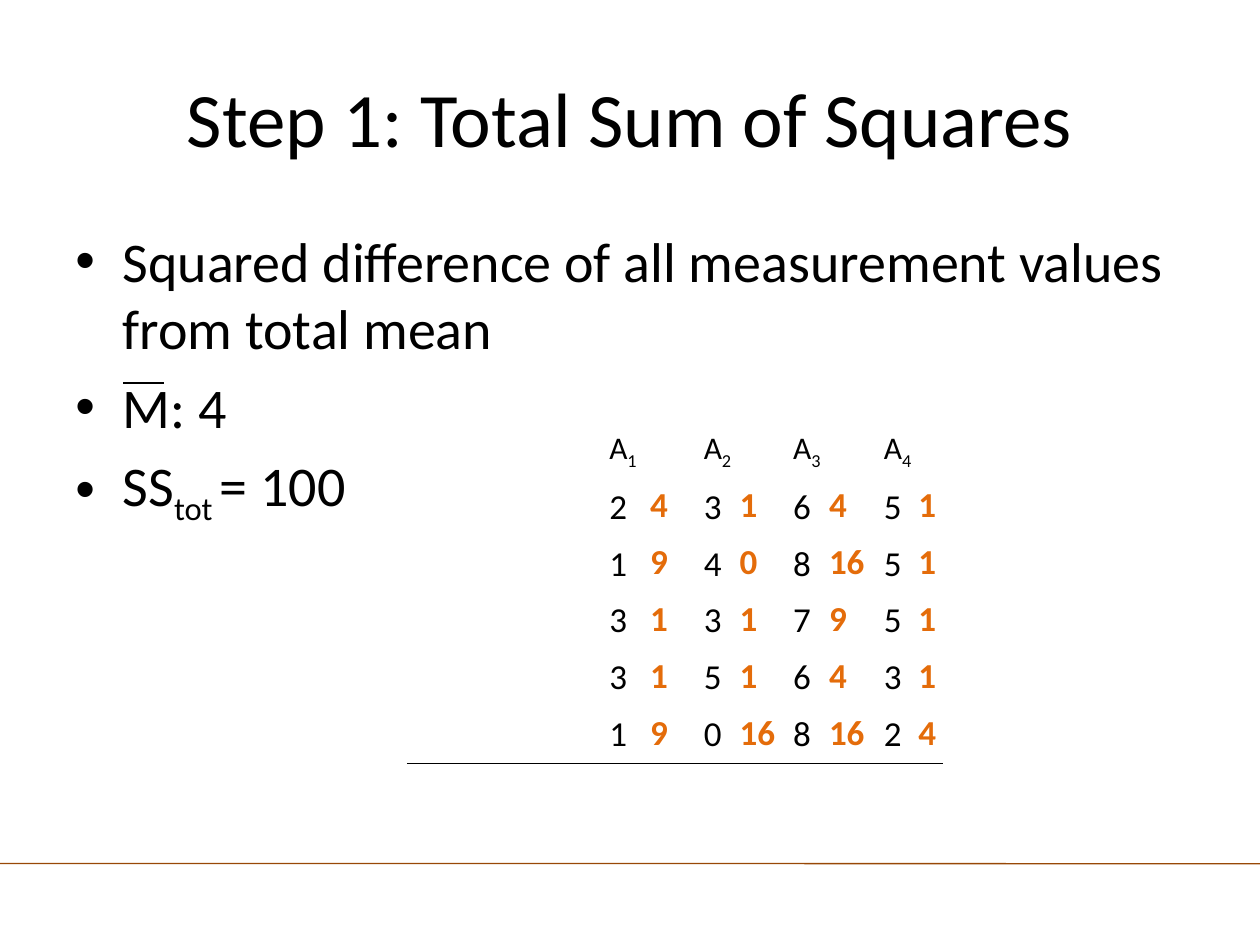
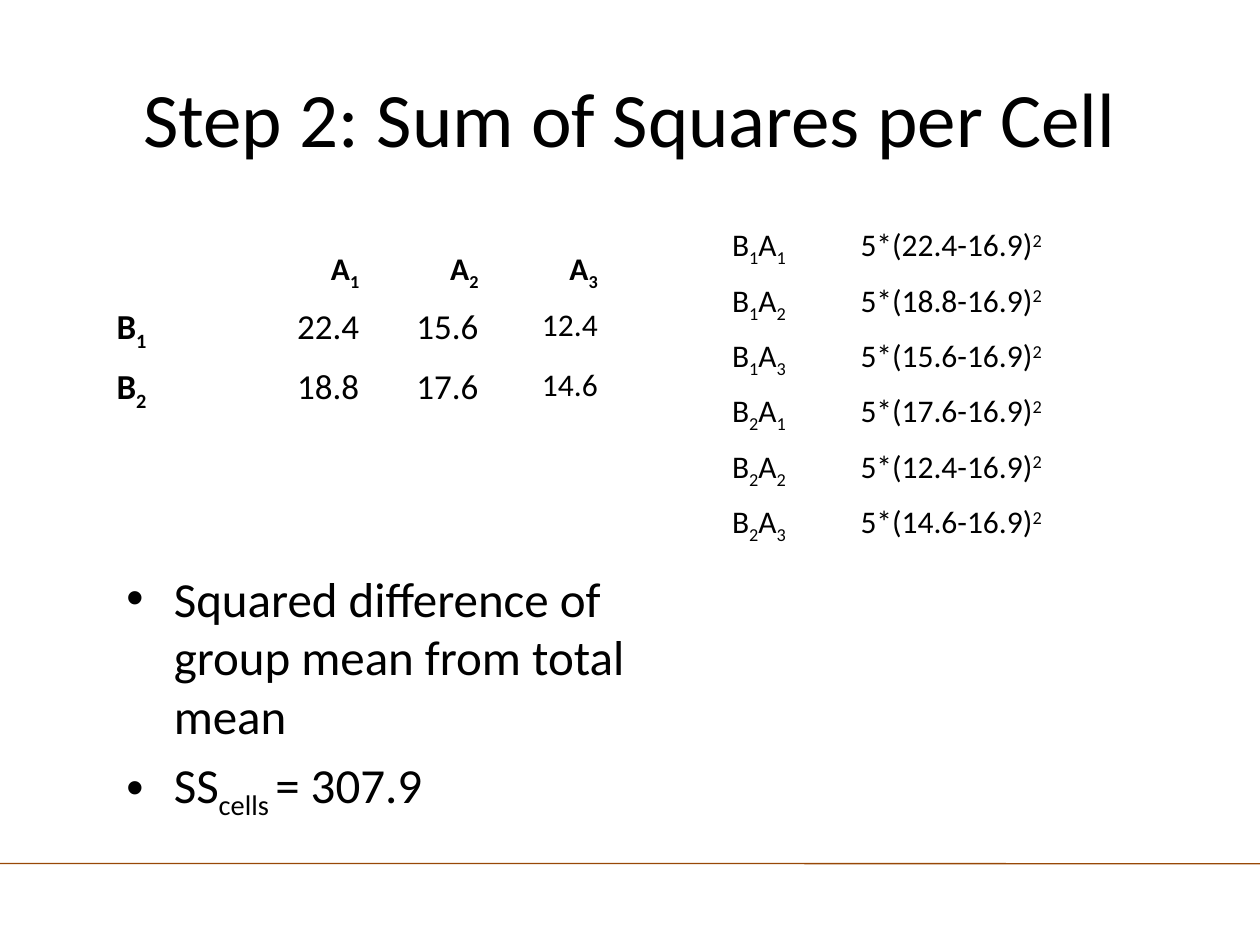
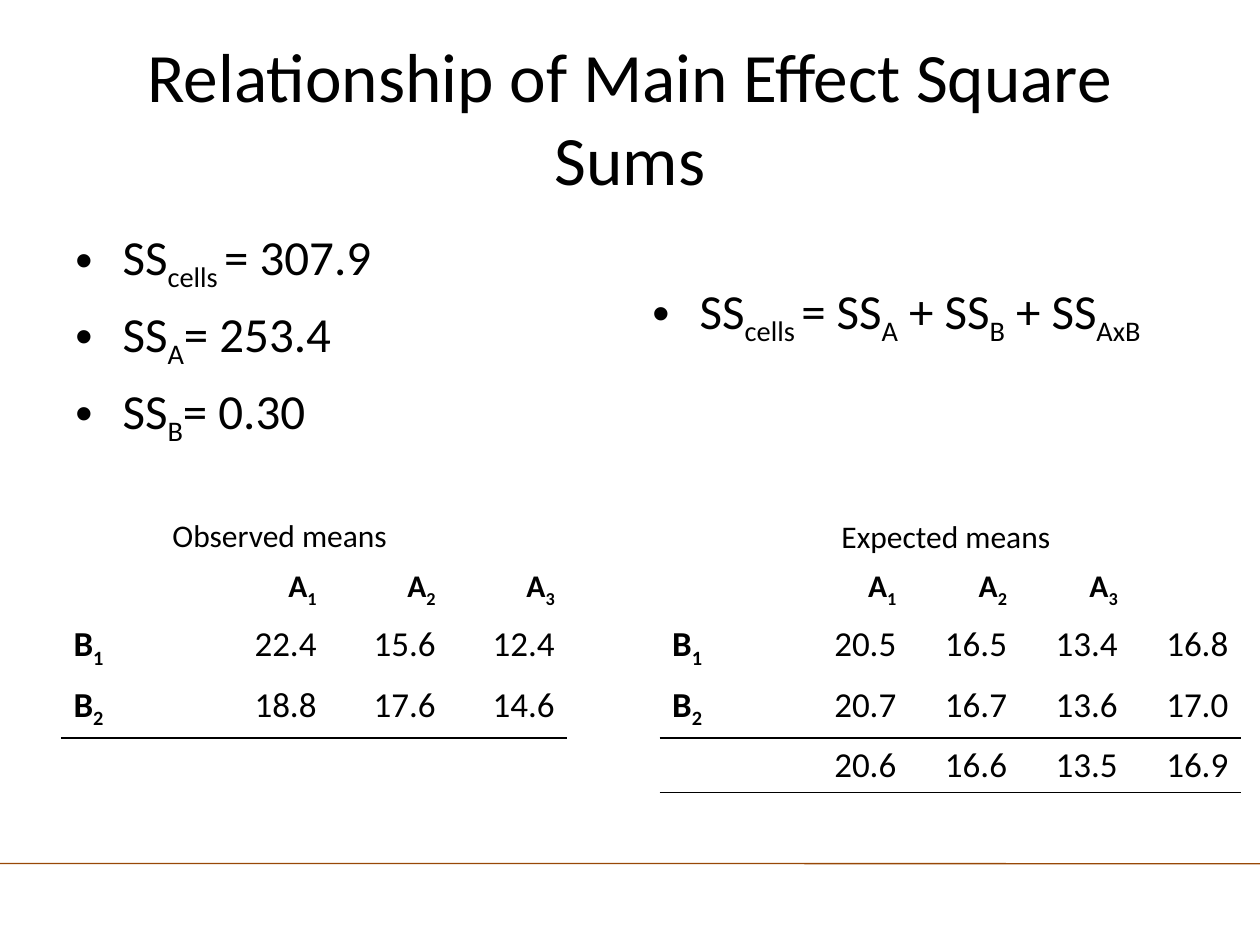
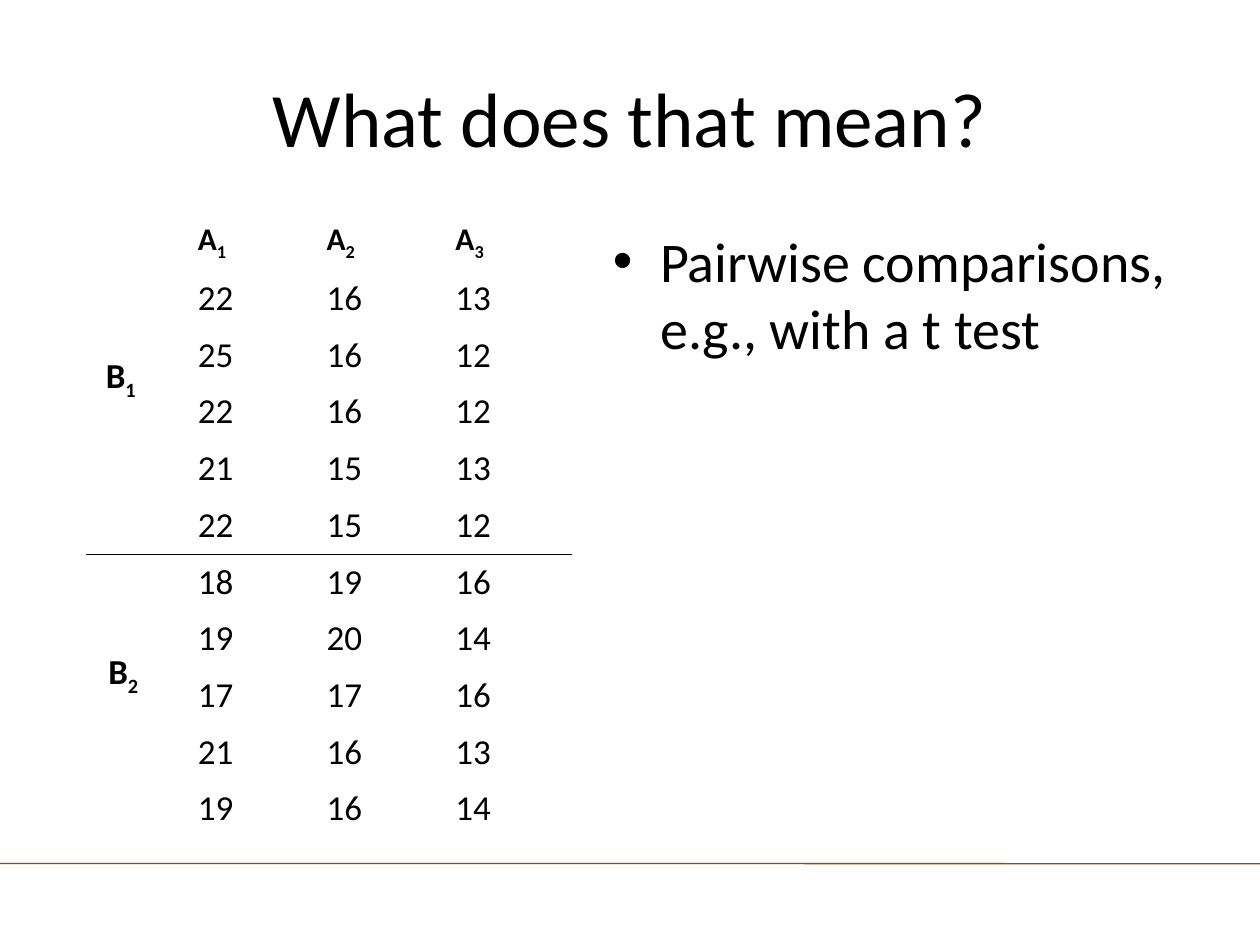
import pptx
import pptx.util
import pptx.dml.color
import pptx.enum.shapes
import pptx.enum.text
import pptx.oxml
import pptx.oxml.ns
import lxml.etree

Pt = pptx.util.Pt
qn = pptx.oxml.ns.qn
RGBColor = pptx.dml.color.RGBColor
ALIGN = pptx.enum.text.PP_ALIGN
ANCHOR = pptx.enum.text.MSO_ANCHOR
AUTO_SIZE = pptx.enum.text.MSO_AUTO_SIZE

BLACK = RGBColor(0x00, 0x00, 0x00)
ORANGE = RGBColor(0xE4, 0x6C, 0x0A)
BROWN = RGBColor(0x98, 0x48, 0x07)
FONT = "Calibri"
NO_STYLE_NO_GRID = "{2D5ABB26-0587-4C30-8999-92F81FD0307C}"
DRAWING = "http://schemas.openxmlformats.org/drawingml/2006/main"


def write(paragraph, text, size, bold=False, color=BLACK):
    for index, part in enumerate(text.split("|")):
        if not part:
            continue
        run = paragraph.add_run()
        run.text = part.lstrip("^")
        formats = {"name": FONT, "size": Pt(size), "bold": bold}
        for name, value in formats.items():
            setattr(run.font, name, value)
        run.font.color.rgb = color
        if index % 2:
            baseline = "30000" if part.startswith("^") else "-25000"
            run._r.get_or_add_rPr().set("baseline", baseline)


def add_line(slide, start, end, color, width):
    line = slide.shapes.add_connector(
        pptx.enum.shapes.MSO_CONNECTOR.STRAIGHT, *map(Pt, start + end))
    line.line.color.rgb = color
    line.line.width = Pt(width)
    lxml.etree.SubElement(line.element.spPr, qn("a:effectLst"))
    return line


presentation = pptx.Presentation()
presentation.slide_width = Pt(720)
presentation.slide_height = Pt(540)
layout = presentation.slide_layouts[5]

titles = [
    ("Step 1: Total Sum of Squares", 44),
    ("Step 2: Sum of Squares per Cell", 44),
    ("Relationship of Main Effect Square Sums", 39.6),
    ("What does that mean?", 44),
]
slides = []
for text, size in titles:
    slide = presentation.slides.add_slide(layout)
    title = slide.shapes.title
    title_place = {"left": 36, "top": 21.6, "width": 648, "height": 90}
    for name, value in title_place.items():
        setattr(title, name, Pt(value))
    title.text_frame.auto_size = AUTO_SIZE.NONE
    title.text_frame.vertical_anchor = ANCHOR.MIDDLE
    title.text_frame.paragraphs[0].alignment = ALIGN.CENTER
    write(title.text_frame.paragraphs[0], text, size)
    slides.append(slide)
total_slide, cells_slide, effects_slide, meaning_slide = slides

footer_line = add_line(total_slide, (0, 493.4), (720, 493.56), BROWN, 0.75)
layout.shapes.element.append(footer_line.element)

text_boxes = [
    (total_slide, (36, 126, 648, 356.4), 32, True, True,
     ["Squared difference of all measurement values from total mean",
      "M: 4", "SS|tot |= 100"]),
    (cells_slide, (65.2, 321.12, 323.28, 153.36), 28, True, True,
     ["Squared difference of group mean from total mean", "SS|cells |= 307.9"]),
    (effects_slide, (36, 126, 324, 356.4), 28, True, True,
     ["SS|cells |= 307.9", "SS|A|= 253.4", "SS|B|= 0.30"]),
    (effects_slide, (365.76, 156.8, 308.16, 41.04), 28, True, False,
     ["SS|cells |= SS|A| + SS|B| + SS|AxB"]),
    (effects_slide, (91.44, 291.2, 138.24, 28.8), 18, False, False,
     ["Observed means"]),
    (effects_slide, (473.76, 291.9, 135.36, 28.8), 18, False, False,
     ["Expected means"]),
    (meaning_slide, (343.2, 126, 341.28, 356.4), 32, True, True,
     ["Pairwise comparisons, e.g., with a t test"]),
]
for slide, place, size, bulleted, wrapped, lines in text_boxes:
    frame = slide.shapes.add_textbox(*map(Pt, place)).text_frame
    frame.word_wrap = wrapped
    frame.auto_size = AUTO_SIZE.NONE if wrapped else AUTO_SIZE.SHAPE_TO_FIT_TEXT
    for index, text in enumerate(lines):
        paragraph = frame.add_paragraph() if index else frame.paragraphs[0]
        if index:
            paragraph.space_before = Pt(size * 0.2)
        if bulleted:
            properties = paragraph._p.get_or_add_pPr()
            properties.set("marL", str(Pt(27)))
            properties.set("indent", str(-Pt(27)))
            lxml.etree.SubElement(properties, qn("a:buFont"), typeface="Arial")
            lxml.etree.SubElement(properties, qn("a:buChar"), char="•")
        write(paragraph, text, size)

add_line(total_slide, (70.56, 218.88), (93.6, 218.88), BLACK, 1)

means_header = ",A|1,A|2,A|3"
observed_means = [means_header, "B|1,22.4,15.6,12.4", "B|2,18.8,17.6,14.6"]
cell_means = zip(["22.4", "18.8", "15.6", "17.6", "12.4", "14.6"],
                 [(b, a) for b in (1, 2) for a in (1, 2, 3)])
cell_squares = [f"B|{b}|A|{a},5*({mean}-16.9)|^2" for mean, (b, a) in cell_means]
score_widths = [56.88] + [73.62] * 3

tables = [
    {"slide": total_slide, "place": (232.56, 241.8), "height": 32.4,
     "widths": [108.4, 54, 51.12, 51.84, 41.04], "ruled": [5],
     "rows": [",A|1,A|2,A|3,A|4", ",2,3,6,5", ",1,4,8,5", ",3,3,7,5",
              ",3,5,6,3", ",1,0,8,2", ""]},
    {"slide": total_slide, "place": (313.2, 240.48), "height": 32.6,
     "widths": [51.12] * 4 + [45.36], "color": ORANGE, "all_bold": True,
     "rows": ["", ",4,1,4,1", ",9,0,16,1", ",1,1,9,1", ",1,1,4,1",
              ",9,16,16,4", ""]},
    {"slide": cells_slide, "place": (411.12, 126), "height": 29.16,
     "widths": [73.44, 153.36], "size": 18, "rows": cell_squares},
    {"slide": cells_slide, "place": (59.4, 139.68), "height": 31.2,
     "widths": [84.96] + [68.16] * 3, "label_bold": True, "right": True,
     "small_column": 3, "rows": observed_means},
    {"slide": effects_slide, "place": (34.8, 320.8), "height": 31.14,
     "widths": [90.72, 62.64, 68.04, 68.04], "label_bold": True, "right": True,
     "ruled": [2], "rows": observed_means + [""]},
    {"slide": effects_slide, "place": (376.9, 320.8), "height": 30.67,
     "widths": [90.72, 51.84] + [63.26] * 3, "label_bold": True, "right": True,
     "ruled": [2, 3],
     "rows": [means_header, "B|1,20.5,16.5,13.4,16.8",
              "B|2,20.7,16.7,13.6,17.0", ",20.6,16.6,13.5,16.9", ""]},
    {"slide": meaning_slide, "place": (-30.96, 126), "height": 194.4,
     "widths": [648.72], "all_bold": True, "margin_top": 76.8,
     "margin_side": 91.44, "rows": ["B|1"]},
    {"slide": meaning_slide, "place": (48.96, 122.4), "height": 32.4,
     "widths": score_widths, "label_bold": True, "ruled": [5],
     "rows": [means_header, ",22,16,13", ",25,16,12", ",22,16,12",
              ",21,15,13", ",22,15,12"]},
    {"slide": meaning_slide, "place": (48.96, 316.8), "height": 32.4,
     "widths": score_widths,
     "rows": [",18,19,16", ",19,20,14", ",17,17,16", ",21,16,13", ",19,16,14"]},
    {"slide": meaning_slide, "place": (54.72, 319.68), "height": 162,
     "widths": [51.12], "all_bold": True, "margin_top": 52.4, "rows": ["B|2"]},
]
for content in tables:
    rows, widths, height = content["rows"], content["widths"], content["height"]
    left, top = content["place"]
    shape = content["slide"].shapes.add_table(
        len(rows), len(widths), Pt(left), Pt(top),
        Pt(sum(widths)), Pt(height * len(rows)))
    table = shape.table
    table.first_row = False
    table.horz_banding = False
    next(shape.element.iter(qn("a:tableStyleId"))).text = NO_STYLE_NO_GRID
    for column, width in zip(table.columns, widths):
        column.width = Pt(width)
    ruled = content.get("ruled", [])
    margin_side = content.get("margin_side", 7.2)
    margins = {"margin_top": content.get("margin_top", 3.6),
               "margin_left": margin_side, "margin_right": margin_side}
    for row_index, row in enumerate(rows):
        table.rows[row_index].height = Pt(height)
        for cell in table.rows[row_index].cells:
            cell.fill.background()
            for name, value in margins.items():
                setattr(cell, name, Pt(value))
            for tag, is_ruled in (("lnB", row_index in ruled),
                                  ("lnT", row_index - 1 in ruled)):
                if is_ruled:
                    border = pptx.oxml.parse_xml(
                        f'<a:{tag} xmlns:a="{DRAWING}" w="{Pt(1)}"><a:solidFill>'
                        f'<a:srgbClr val="{BLACK}"/></a:solidFill></a:{tag}>')
                    cell._tc.get_or_add_tcPr().insert(0, border)
        for column_index, text in enumerate(row.split(",")):
            paragraph = table.cell(row_index, column_index).text_frame.paragraphs[0]
            if content.get("right") and column_index:
                paragraph.alignment = ALIGN.RIGHT
            is_small = text.startswith("A") or column_index == content.get("small_column")
            is_label = text.startswith(("A", "B"))
            write(paragraph, text, 18 if is_small else content.get("size", 20),
                  content.get("all_bold", False)
                  or (is_label and content.get("label_bold", False)),
                  content.get("color", BLACK))

presentation.save("out.pptx")
